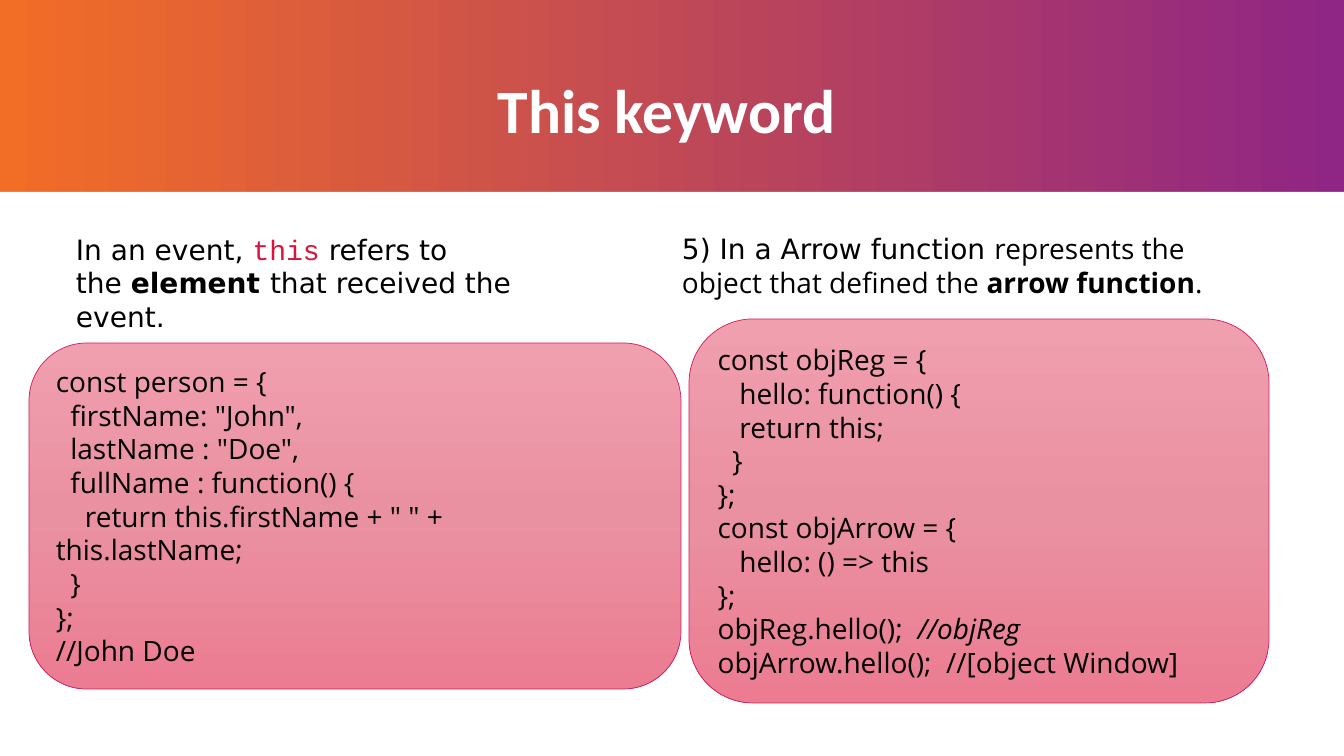
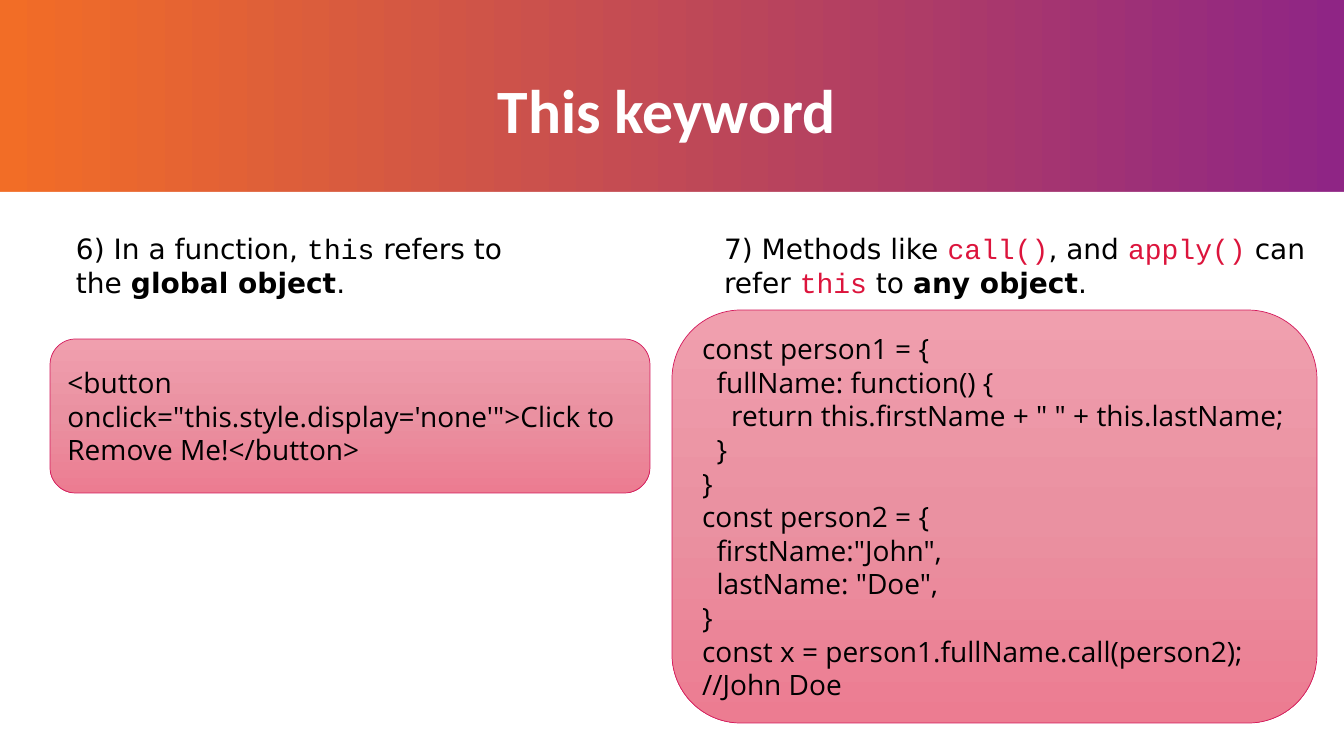
from copy import deepcopy

from pptx import Presentation
from pptx.dml.color import RGBColor
from pptx.enum.shapes import MSO_SHAPE
from pptx.enum.text import MSO_ANCHOR, MSO_AUTO_SIZE, PP_ALIGN
from pptx.oxml.ns import qn
from pptx.util import Emu, Pt

RECT, ROUND = MSO_SHAPE.RECTANGLE, MSO_SHAPE.ROUNDED_RECTANGLE
MIDDLE, TOP = MSO_ANCHOR.MIDDLE, MSO_ANCHOR.TOP
LEFT, CENTER = PP_ALIGN.LEFT, PP_ALIGN.CENTER
FIXED = MSO_AUTO_SIZE.NONE

SCALE = 914400 / 100.8
WIDE, HIGH, BAND = 1344, 756, 192
BLACK, WHITE, RED, EDGE = "000000", "FFFFFF", "DC143C", "D41B5D"
BACK = ["8F2585", "F26D26"]
PINK = ["F09FAE", "EA91A1", "EC7C91"]
SPACE = 5.2  # width of one code space, in points

HEAD = {"name": "Calibri", "size": Pt(44), "bold": True}
BODY = {"name": "DejaVu Sans", "size": Pt(20)}
STRONG = {**BODY, "bold": True}
MONO = {**BODY, "name": "Courier New"}
CODE = {**BODY, "name": "Open Sans"}
BOLD = {**CODE, "bold": True}
ITALIC = {**CODE, "italic": True}


def px(n):
    return Emu(round(n * SCALE))


def rgb(text):
    return RGBColor.from_string(text)


def assign(item, values):
    for key, value in values.items():
        setattr(item, key, value)


def place(shape, box):
    sides = ("left", "top", "width", "height")
    assign(shape, dict(zip(sides, map(px, box))))


def blend(fill, colors, angle):
    """Give the fill evenly spaced gradient stops."""
    fill.gradient()
    fill.gradient_angle = angle
    stops = fill.gradient_stops
    for i, (stop, color) in enumerate(zip(stops, colors)):
        stop.color.rgb = rgb(color)
        stop.position = i / (len(colors) - 1)


def write(para, text, style, color=BLACK):
    """Add a run, in which ~ stands for a no-break space."""
    run = para.add_run()
    run.text = text.replace("~", chr(160))
    assign(run.font, style)
    run.font.color.rgb = rgb(color)


def frame(shape, anchor, **insets):
    text = shape.text_frame
    assign(text, {"word_wrap": True, "auto_size": FIXED,
                  "vertical_anchor": anchor})
    assign(text, {f"margin_{k}": px(v) for k, v in insets.items()})
    return text


def header(slide, box, text):
    panel = slide.shapes.add_shape(
        RECT, 0, px(BAND), px(WIDE), px(HIGH - BAND))
    panel.shadow.inherit = False
    panel.fill.solid()
    panel.fill.fore_color.rgb = rgb(WHITE)
    panel.line.fill.background()
    title = slide.shapes.title
    place(title, box)
    para = frame(title, MIDDLE, left=0, top=5, right=10, bottom=5).paragraphs[0]
    assign(para, {"alignment": CENTER, "line_spacing": 0.9})
    write(para, text, HEAD, WHITE)


def note(slide, box, runs):
    shape = slide.shapes.add_textbox(*map(px, box))
    para = frame(shape, TOP, left=0, top=5, right=10, bottom=5).paragraphs[0]
    para.line_spacing = Pt(24)
    for run in runs:
        write(para, *run)


def card(slide, box, lines):
    """Draw a pink card of code; a line is a string or a list of runs."""
    shape = slide.shapes.add_shape(ROUND, *map(px, box))
    shape.shadow.inherit = False
    shape.fill.gradient()
    stops = shape.fill._xPr.find(qn("a:gradFill")).find(qn("a:gsLst"))
    stops.insert(1, deepcopy(stops[0]))
    blend(shape.fill, PINK, 270)
    shape.line.color.rgb = rgb(EDGE)
    shape.line.width = Pt(0.5)
    text = frame(shape, MIDDLE)
    for i, line in enumerate(lines):
        para = text.add_paragraph() if i else text.paragraphs[0]
        assign(para, {"alignment": LEFT, "line_spacing": Pt(24)})
        runs = [(line, CODE)] if isinstance(line, str) else line
        first = runs[0][0]
        depth = len(first) - len(first.lstrip())
        props = para._p.get_or_add_pPr()
        props.set("marL", "0")
        props.set("indent", str(Pt(depth * SPACE)))
        for j, (part, style) in enumerate(runs):
            write(para, part if j else part.lstrip(), style)


PERSON = """const person = {
  firstName: "John",
  lastName : "Doe",
  fullName : function() {
    return this.firstName + " " +
this.lastName;
  }
};
//John Doe""".split("\n")

ARROW = """const objReg = {
   hello: function() {
   return this;
  }
};
const objArrow = {
   hello: () => this
};""".split("\n") + [
    [("objReg.hello();  ", CODE), ("//objReg", ITALIC)],
    "objArrow.hello();  //[object Window]",
]

BUTTON = ["<button onclick=\"this.style.display='none'\">"
          "Click to Remove Me!</button>"]

CALL = """const person1 = {
  fullName: function() {
    return this.firstName + " " + this.lastName;
  }
}
const person2 = {
  firstName:"John",
  lastName: "Doe",
}
const x = person1.fullName.call(person2);
//John Doe""".split("\n")

# Each slide holds (note box, note runs, card box, card lines) per topic.
SLIDES = [
    [((76, 227, 519, 133),
      [("In an event,~", BODY), ("this", MONO, RED),
       ("~refers to the~", BODY), ("element~", STRONG),
       ("that received the event.", BODY)],
      (29, 343, 652, 346), PERSON),
     ((682, 227, 551, 80),
      [("5) In a Arrow function ", BODY),
       ("represents the object that defined the~", CODE),
       ("arrow function", BOLD), (".", CODE)],
      (689, 319, 580, 384), ARROW)],
    [((76, 227, 548, 80),
      [("6) In a function,~", BODY), ("this", MONO),
       ("~refers to the~", BODY), ("global object", STRONG), (".", BODY)],
      (50, 339, 600, 154), BUTTON),
     ((724, 227, 600, 80),
      [("7) Methods like~", BODY), ("call()", MONO, RED),
       (", and~", BODY), ("apply()", MONO, RED), ("~can refer~", BODY),
       ("this", MONO, RED), ("~to~", BODY), ("any object", STRONG),
       (".", BODY)],
      (672, 310, 645, 413), CALL)],
]


def main():
    deck = Presentation()
    assign(deck, {"slide_width": px(WIDE), "slide_height": px(HIGH)})
    blend(deck.slide_master.background.fill, BACK, 180)
    for topics in SLIDES:
        slide = deck.slides.add_slide(deck.slide_layouts[5])
        header(slide, (76, 76, 1192, 76), "This keyword")
        for spot, runs, box, lines in topics:
            card(slide, box, lines)
            note(slide, spot, runs)
    deck.save("out.pptx")


if __name__ == "__main__":
    main()
